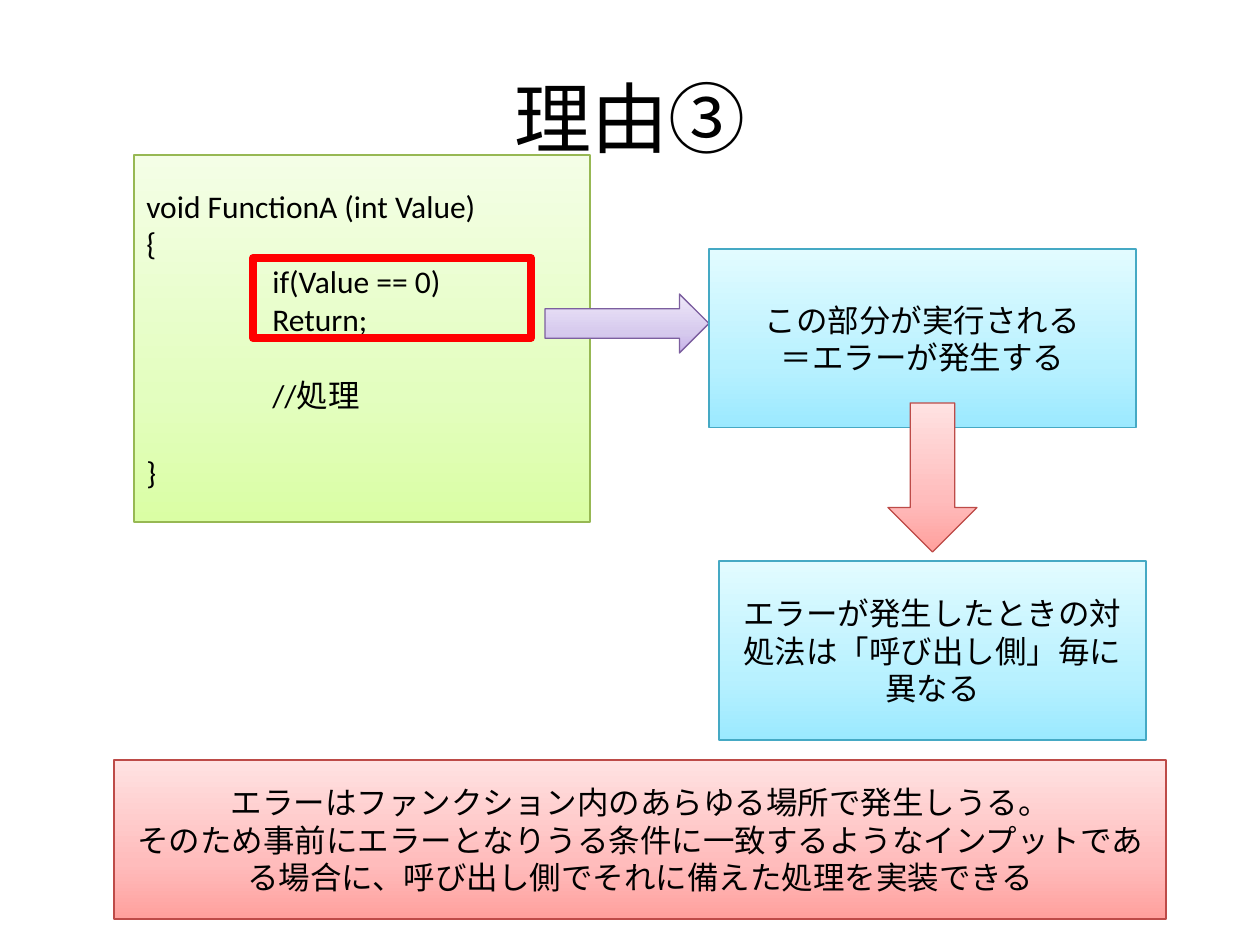
import copy

import pptx
import pptx.dml.color
import pptx.enum.shapes
import pptx.enum.text
import pptx.oxml.ns
import pptx.util

SCALE = 914400 // 126
COLOURS = {"text": "000000", "mark": "FF0000"}
# Each theme: outline, then gradient colours from bottom to top.
THEMES = {
    "green": ("97B853", ("DAFEA4", "E3FEBF", "F4FEE6")),
    "purple": ("7C5F9F", ("C8B2E9", "D6CAED", "EFE8FA")),
    "blue": ("45A9C4", ("9BE9FF", "B8F1FF", "E2FBFF")),
    "red": ("BD4B48", ("FFA09D", "FFBCBC", "FFE2E2")),
}
STOPS = (0, 0.35, 1)
SHAPES = pptx.enum.shapes.MSO_SHAPE
ALIGN = pptx.enum.text.PP_ALIGN
LINE_GAP = 22
CODE_INDENT = 126


def emu(box):
    """Turn a box in pixels into EMU lengths."""
    return [pptx.util.Emu(length * SCALE) for length in box]


def rgb(value):
    """Return a colour object for a hex string."""
    return pptx.dml.color.RGBColor.from_string(value)


def write(shape, lines, size=18, align=ALIGN.CENTER, gaps=()):
    """Write one paragraph per line, with a blank line's space before those in gaps."""
    frame = shape.text_frame
    frame.word_wrap = True
    frame.vertical_anchor = pptx.enum.text.MSO_ANCHOR.MIDDLE
    for index, line in enumerate(lines):
        para = frame.add_paragraph() if index else frame.paragraphs[0]
        para.text = line
        para.alignment = align
        para.font.name = "Calibri"
        para.font.size = pptx.util.Pt(size)
        para.font.color.rgb = rgb(COLOURS["text"])
        if index in gaps:
            para.space_before = pptx.util.Pt(LINE_GAP)


def indent(para, length):
    """Set the left margin of a paragraph in pixels."""
    properties = para._p.get_or_add_pPr()
    properties.set("marL", str(length * SCALE))
    properties.set("indent", "0")


def add_outlined(page, kind, box, colour, width):
    """Add a shadowless shape with an outline."""
    shape = page.shapes.add_shape(kind, *emu(box))
    shape.shadow.inherit = False
    shape.line.color.rgb = rgb(colour)
    shape.line.width = pptx.util.Pt(width)
    return shape


def add_graded(page, kind, box, theme):
    """Add an outlined shape with a three-stop vertical gradient."""
    outline, colours = THEMES[theme]
    shape = add_outlined(page, kind, box, outline, 0.75)
    shape.fill.gradient()
    shape.fill.gradient_angle = 90
    stop_list = shape._element.spPr.find(".//" + pptx.oxml.ns.qn("a:gsLst"))
    stop_list.append(copy.deepcopy(stop_list[0]))
    for stop, position, colour in zip(shape.fill.gradient_stops, STOPS, colours):
        stop.position = position
        stop.color.rgb = rgb(colour)
    return shape


def add_title(page, box, text):
    """Add the centred heading."""
    write(page.shapes.add_textbox(*emu(box)), [text], size=44)


def add_code(page, box):
    """Add the code panel and the frame around its early return."""
    left, top, _, _ = box
    panel = add_graded(page, SHAPES.RECTANGLE, box, "green")
    lines = ["void FunctionA (int Value)", "{", "if(Value == 0)",
             "Return;", "//処理", "}"]
    write(panel, lines, align=ALIGN.LEFT, gaps=(4, 5))
    for para in panel.text_frame.paragraphs[2:5]:
        indent(para, CODE_INDENT)
    mark_box = (left + 119, top + 103, 278, 80)
    mark = add_outlined(page, SHAPES.RECTANGLE, mark_box, COLOURS["mark"], 4.5)
    mark.fill.background()


def add_flow(page, box):
    """Add the arrow from the code, the error box and the box it leads to."""
    left, top, _, _ = box
    width, height = 427, 179
    add_graded(page, SHAPES.RIGHT_ARROW, (left, top + 45, 164, 59), "purple")
    error = add_graded(page, SHAPES.RECTANGLE,
                       (left + 164, top, width, height), "blue")
    write(error, ["この部分が実行される", "＝エラーが発生する"])
    add_graded(page, SHAPES.DOWN_ARROW, (left + 343, top + 154, 89, 149), "red")
    handling = add_graded(page, SHAPES.RECTANGLE,
                          (left + 174, top + 312, width, height), "blue")
    write(handling, ["エラーが発生したときの対処法は「呼び出し側」毎に異なる"])


def add_conclusion(page, box):
    """Add the closing statement."""
    panel = add_graded(page, SHAPES.RECTANGLE, box, "red")
    write(panel, [
        "エラーはファンクション内のあらゆる場所で発生しうる。",
        "そのため事前にエラーとなりうる条件に一致するようなインプットである場合に、"
        "呼び出し側でそれに備えた処理を実装できる",
    ])


def main():
    """Build and save the slide."""
    deck = pptx.Presentation()
    deck.slide_width, deck.slide_height = emu((1260, 945))
    page = deck.slides.add_slide(deck.slide_layouts[6])
    add_title(page, (63, 38, 1134, 158), "理由③")
    add_code(page, (134, 155, 456, 367))
    add_flow(page, (545, 249, 601, 491))
    add_conclusion(page, (114, 760, 1052, 159))
    deck.save("out.pptx")


main()
